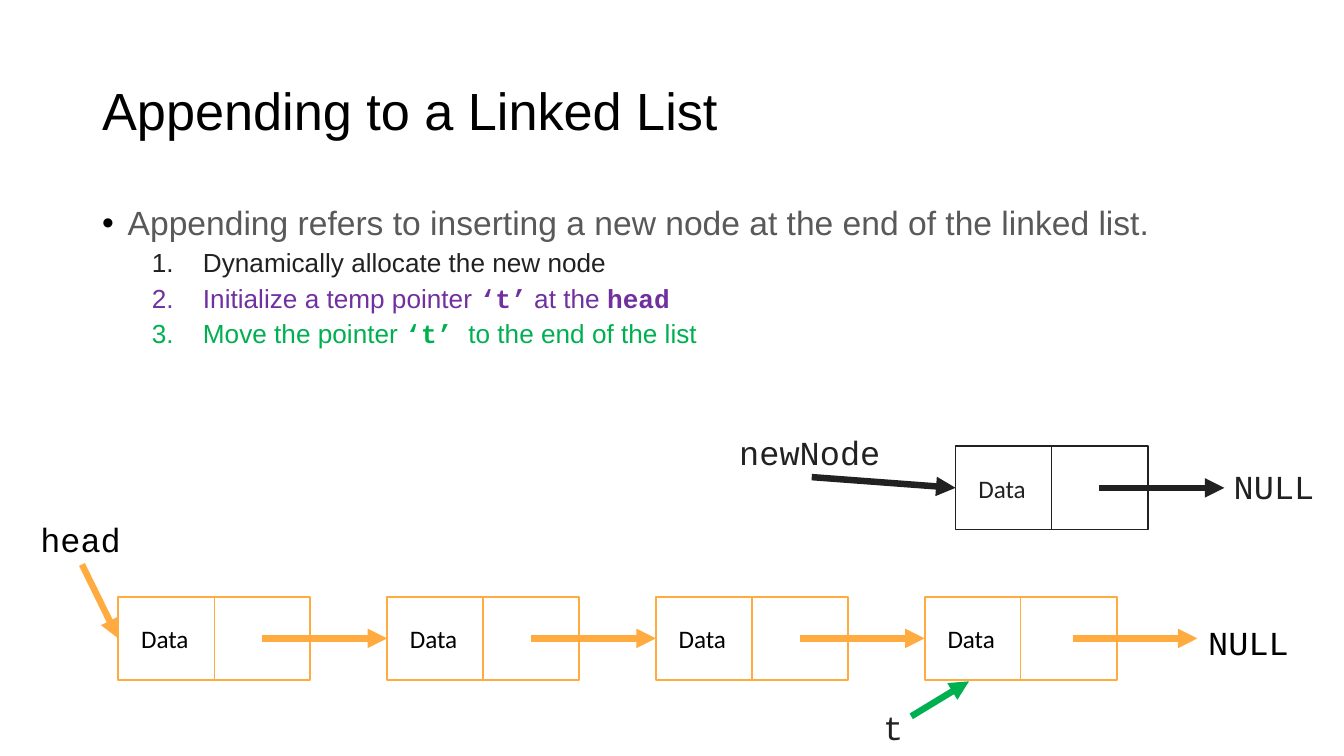
from lxml import etree
from pptx import Presentation
from pptx.dml.color import RGBColor as RGB
from pptx.enum.shapes import MSO_CONNECTOR as LINE, MSO_SHAPE as SHAPE
from pptx.enum.text import MSO_ANCHOR as ANCHOR, MSO_AUTO_SIZE as FIT, PP_ALIGN as ALIGN
from pptx.oxml.ns import qn
from pptx.util import Inches, Pt

HUES = {
    "black": "000000", "ink": "212121", "gray": "595959", "white": "FFFFFF",
    "amber": "FFAB40", "violet": "7030A0", "green": "00B050",
}
SANS, MONO, LABEL = "Arial", "Courier New", "Calibri"
NODE_W, NODE_H = 1.43, 0.62
STEP = 2.0


def hue(name):
    return RGB.from_string(HUES[name])


def style(font, face, size, color, bold=False):
    font.name, font.size, font.bold = face, Pt(size), bold
    font.color.rgb = hue(color)


def set_frame(frame, wrap=True):
    frame.word_wrap = wrap
    frame.auto_size = FIT.NONE
    frame.margin_left = frame.margin_right = Inches(0.07)
    frame.margin_top = frame.margin_bottom = Inches(0.04)


def add_label(slide, x, y, w, h, text, face, size, color):
    box = slide.shapes.add_textbox(Inches(x), Inches(y), Inches(w), Inches(h))
    set_frame(box.text_frame, wrap=False)
    para = box.text_frame.paragraphs[0]
    para.text = text
    style(para.runs[0].font, face, size, color)


def add_code(slide, x, y, w, text, color):
    add_label(slide, x, y, w, 0.38, text, MONO, 18, color)


def add_line(slide, start, end, color, width=3.5, head=True):
    ends = [Inches(v) for v in (*start, *end)]
    line = slide.shapes.add_connector(LINE.STRAIGHT, *ends)
    line.line.color.rgb = hue(color)
    line.line.width = Pt(width)
    props = line._element.spPr
    if head:
        etree.SubElement(props.find(qn("a:ln")), qn("a:tailEnd"), type="triangle")
    etree.SubElement(props, qn("a:effectLst"))


def set_bullet(para, color, indent, hang, tag, **attrs):
    props = para._p.get_or_add_pPr()
    props.set("marL", str(Inches(indent)))
    props.set("indent", str(-Inches(hang)))
    tint = etree.SubElement(props, qn("a:buClr"))
    etree.SubElement(tint, qn("a:srgbClr"), val=HUES[color])
    etree.SubElement(props, qn("a:buFont"), typeface=SANS)
    etree.SubElement(props, qn(tag), **attrs)


def add_title(slide, x, y, w, h):
    title = slide.shapes.title
    title.left, title.top, title.width, title.height = map(Inches, (x, y, w, h))
    frame = title.text_frame
    frame.text = "Appending to a Linked List"
    set_frame(frame)
    frame.vertical_anchor = ANCHOR.MIDDLE
    para = frame.paragraphs[0]
    para.alignment, para.line_spacing = ALIGN.LEFT, 0.9
    style(para.runs[0].font, SANS, 28, "black")


def add_steps(slide, x, y, w, h):
    box = slide.shapes.add_textbox(Inches(x), Inches(y), Inches(w), Inches(h))
    frame = box.text_frame
    set_frame(frame)
    para = frame.paragraphs[0]
    para.text = "Appending refers to inserting a new node at the end of the linked list."
    set_bullet(para, "black", 0.19, 0.19, "a:buChar", char="•")
    para.line_spacing = 0.9
    style(para.runs[0].font, SANS, 18, "gray")

    # Plain and code runs alternate within each step
    steps = [
        ("ink", ["Dynamically allocate the new node"]),
        ("violet", ["Initialize a temp pointer ", "‘t’", " at the ", "head"]),
        ("green", ["Move the pointer ", "‘t’ ", "to the end of the list"]),
    ]
    for color, parts in steps:
        para = frame.add_paragraph()
        para.level = 1
        set_bullet(para, color, 0.75, 0.38, "a:buAutoNum", type="arabicPeriod")
        para.line_spacing, para.space_before = 0.9, Pt(3.8)
        for i, part in enumerate(parts):
            run = para.add_run()
            run.text = part
            code = i % 2 == 1
            style(run.font, MONO if code else SANS, 14, color, code)


def add_node(slide, x, y, color, ink):
    """Draw a box split into a data cell and a link cell."""
    rect = slide.shapes.add_shape(
        SHAPE.RECTANGLE, Inches(x), Inches(y), Inches(NODE_W), Inches(NODE_H))
    rect.shadow.inherit = False
    rect.fill.solid()
    rect.fill.fore_color.rgb = hue("white")
    rect.line.color.rgb = hue(color)
    rect.line.width = Pt(1)
    mid = x + NODE_W / 2
    add_line(slide, (mid, y), (mid, y + NODE_H), color, 0.75, head=False)
    add_label(slide, x + 0.1, y + 0.16, 0.51, 0.3, "Data", LABEL, 13.5, ink)


def add_link(slide, x, y, color):
    row = y + NODE_H / 2
    add_line(slide, (x + 1.07, row), (x + STEP, row), color)


def add_list(slide, x, y, count):
    spots = [x + i * STEP for i in range(count)]
    last = spots[-1]
    for spot in spots:
        add_node(slide, spot, y, "amber", "black")
    for spot in spots[:-1]:
        add_link(slide, spot, y, "amber")
    add_link(slide, last + 0.03, y, "amber")
    add_code(slide, last + 2.04, y + 0.15, 0.76, "NULL", "black")
    add_code(slide, x - 0.65, y - 0.62, 0.76, "head", "black")
    add_line(slide, (x - 0.27, y - 0.24), (x, y + NODE_H / 2), "amber")
    add_code(slide, last - 0.38, y + 0.78, 1.21, "t", "ink")
    add_line(slide, (last - 0.1, y + 0.89), (last + 0.33, y + 0.63), "green")


def add_new(slide, x, y):
    add_node(slide, x, y, "ink", "ink")
    add_link(slide, x, y, "ink")
    add_code(slide, x - 1.68, y - 0.15, 1.21, "newNode", "ink")
    add_line(slide, (x - 1.07, y + 0.23), (x, y + NODE_H / 2), "ink")
    add_code(slide, x + STEP, y + 0.11, 0.76, "NULL", "ink")


def main():
    deck = Presentation()
    deck.slide_width, deck.slide_height = Inches(10), Inches(10) * 9 // 16
    slide = deck.slides.add_slide(deck.slide_layouts[5])
    add_title(slide, 0.69, 0.3, 8.62, 1.09)
    add_steps(slide, 0.69, 1.5, 8.62, 3.57)
    add_list(slide, 0.88, 4.44, 4)
    add_new(slide, 7.11, 3.32)
    deck.save("out.pptx")


if __name__ == "__main__":
    main()
